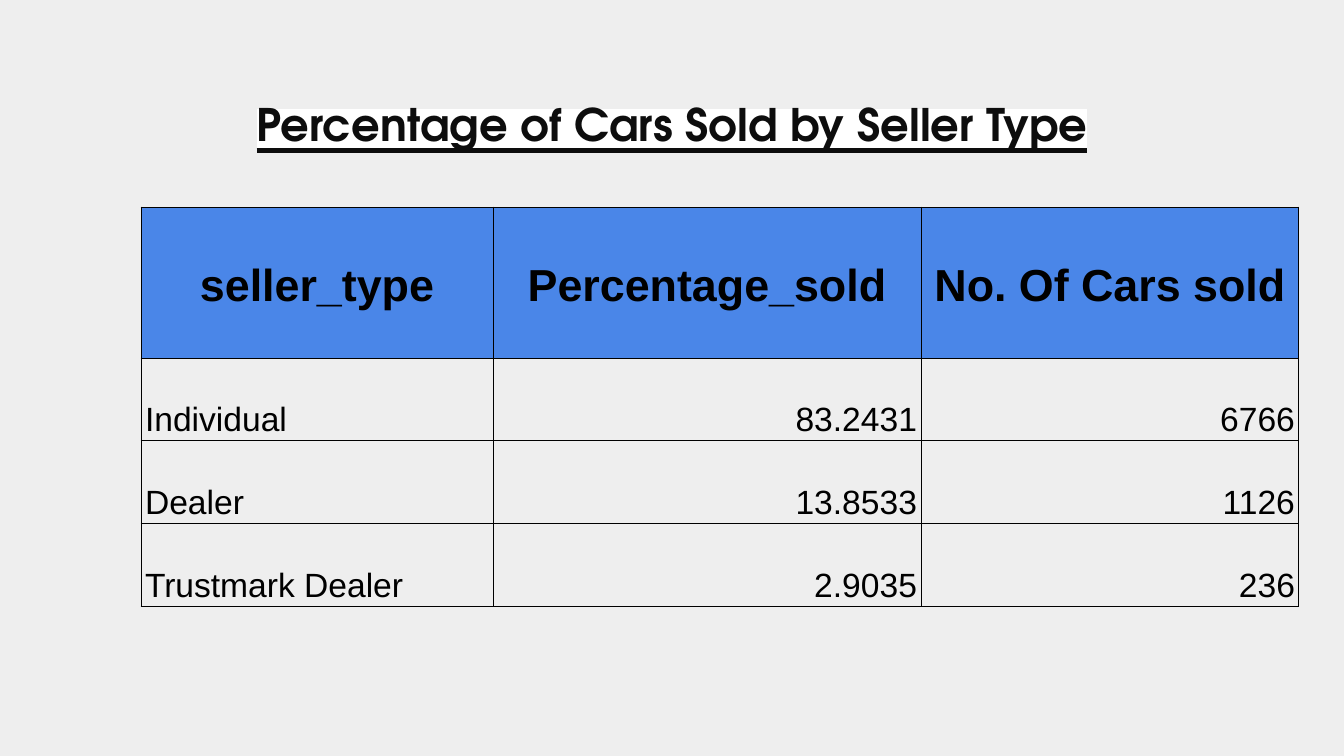
from pptx import Presentation
from pptx import util as u
from pptx.dml.color import RGBColor
from pptx.enum import text as t
from pptx.oxml import parse_xml
from pptx.oxml.ns import nsdecls, qn

TITLE = "Percentage of Cars Sold by Seller Type"
ROWS = [
    ("seller_type", "Percentage_sold", "No. Of Cars sold"),
    ("Individual", "83.2431", "6766"),
    ("Dealer", "13.8533", "1126"),
    ("Trustmark Dealer", "2.9035", "236"),
]
WIDTHS = [352, 428, 378]
HEIGHTS = [151, 83, 83, 83]
COLORS = {"back": "EEEEEE", "title": "0D0D0D", "mark": "FFFFFF",
          "head": "4A86E8", "ink": "000000"}
SCALE = 914400 / 134.4
ALIGN = t.PP_ALIGN


def px(n):
    return u.Emu(round(n * SCALE))


def rgb(name):
    return RGBColor.from_string(COLORS[name])


def style(para, font, size, color, bold):
    for run in para.runs:
        run.font.name = font
        run.font.size = u.Pt(size)
        run.font.bold = bold
        run.font.color.rgb = rgb(color)


def mark(run, color):
    """Highlight the run; the schema wants this right after its fill."""
    fill = run.font._element.find(qn("a:solidFill"))
    fill.addnext(parse_xml(f'<a:highlight {nsdecls("a")}>'
                           f'<a:srgbClr val="{COLORS[color]}"/></a:highlight>'))


def border(cell, color, width):
    props = cell._tc.get_or_add_tcPr()
    for i, side in enumerate(("lnL", "lnR", "lnT", "lnB")):
        props.insert(i, parse_xml(
            f'<a:{side} {nsdecls("a")} w="{u.Pt(width)}"><a:solidFill>'
            f'<a:srgbClr val="{COLORS[color]}"/></a:solidFill></a:{side}>'))


def add_title(slide):
    title = slide.shapes.title
    title.left, title.top, title.width, title.height = map(px, (46, 66, 1252, 85))
    frame = title.text_frame
    frame.text = TITLE
    frame.word_wrap = True
    frame.auto_size = t.MSO_AUTO_SIZE.NONE
    frame.vertical_anchor = t.MSO_ANCHOR.TOP
    frame.margin_left = frame.margin_right = u.Inches(0.1)
    frame.margin_top = frame.margin_bottom = u.Inches(0.1)
    para = frame.paragraphs[0]
    para.alignment = ALIGN.CENTER
    para.line_spacing = 1.33
    para.space_before = u.Pt(18)
    style(para, "TeX Gyre Adventor", 24, "title", True)
    para.runs[0].font.underline = True
    mark(para.runs[0], "mark")


def fill_cell(cell, words, row, col):
    head = row == 0
    last = col == len(WIDTHS) - 1
    cell.text = words
    cell.vertical_anchor = t.MSO_ANCHOR.MIDDLE if head else t.MSO_ANCHOR.BOTTOM
    cell.margin_left = cell.margin_right = u.Inches(0.1 if head and last else 0.03)
    cell.margin_top = cell.margin_bottom = u.Inches(0.02)
    if head:
        cell.fill.solid()
        cell.fill.fore_color.rgb = rgb("head")
        align = ALIGN.LEFT if last else ALIGN.CENTER
    else:
        cell.fill.background()
        align = ALIGN.RIGHT if col else ALIGN.LEFT
    para = cell.text_frame.paragraphs[0]
    para.alignment = align
    para.line_spacing = 1.15
    style(para, "Arial", 24 if head else 18, "ink", head)
    border(cell, "ink", 0.5)


def add_sales(slide):
    table = slide.shapes.add_table(
        len(ROWS), len(WIDTHS), px(141), px(207),
        px(sum(WIDTHS)), px(sum(HEIGHTS))).table
    table.first_row = table.horz_banding = False
    for col, width in zip(table.columns, WIDTHS):
        col.width = px(width)
    for row, height in zip(table.rows, HEIGHTS):
        row.height = px(height)
    for r, line in enumerate(ROWS):
        for c, words in enumerate(line):
            fill_cell(table.cell(r, c), words, r, c)


def main():
    deck = Presentation()
    deck.slide_width, deck.slide_height = px(1344), px(756)
    slide = deck.slides.add_slide(deck.slide_layouts[5])
    slide.background.fill.solid()
    slide.background.fill.fore_color.rgb = rgb("back")
    add_title(slide)
    add_sales(slide)
    deck.save("out.pptx")


if __name__ == "__main__":
    main()
